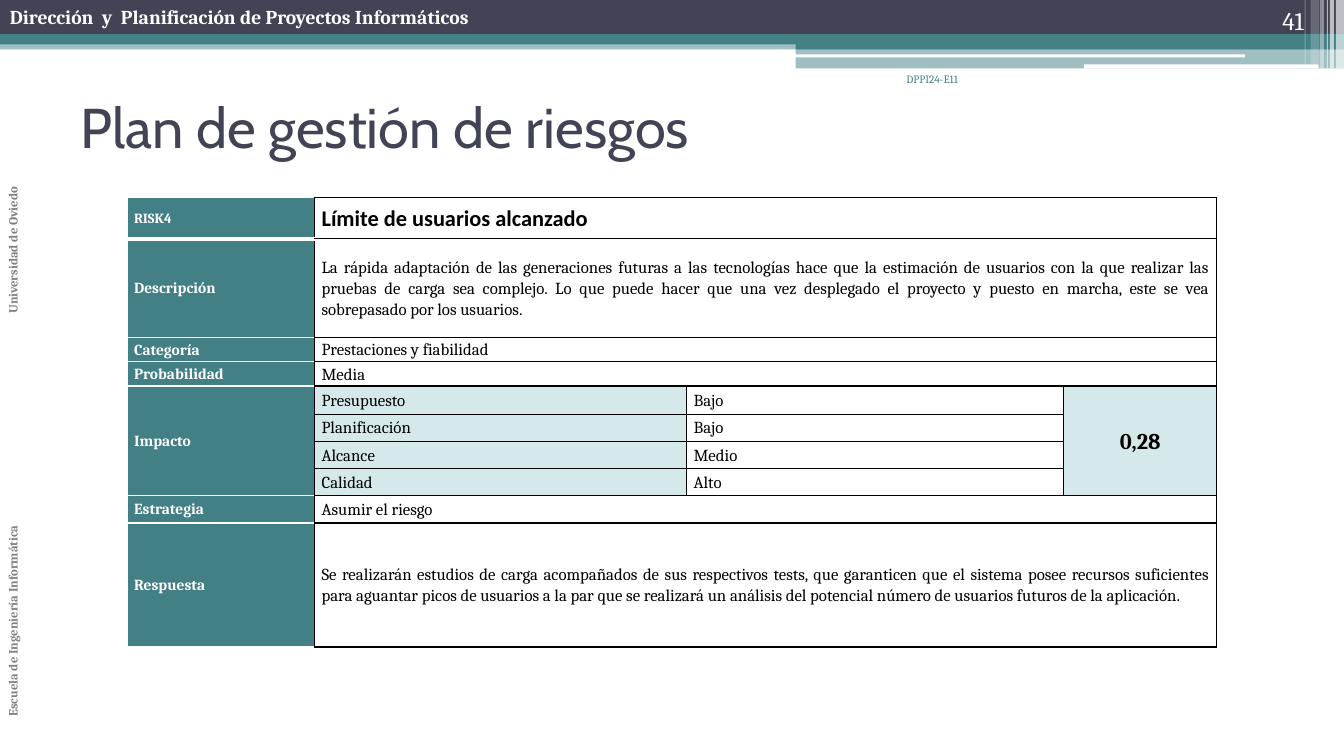
from lxml import etree
from pptx import Presentation
from pptx.dml.color import RGBColor
from pptx.enum.shapes import MSO_SHAPE
from pptx.enum.text import MSO_ANCHOR, PP_ALIGN
from pptx.oxml.ns import qn
from pptx.util import Inches, Pt

RECTANGLE, ROUNDED = MSO_SHAPE.RECTANGLE, MSO_SHAPE.ROUNDED_RECTANGLE
LEFT, CENTER, RIGHT, JUSTIFY = (PP_ALIGN.LEFT, PP_ALIGN.CENTER,
                                PP_ALIGN.RIGHT, PP_ALIGN.JUSTIFY)
TOP, MIDDLE, BOTTOM = MSO_ANCHOR.TOP, MSO_ANCHOR.MIDDLE, MSO_ANCHOR.BOTTOM

NAVY, TEAL, PALE = "424456", "438086", "D6E9EA"
WHITE, BLACK, GRAY = "FFFFFF", "000000", "808080"
SERIF, HEADING, SANS = "Cambria", "Cabin", "Calibri"


def color(value):
    return RGBColor.from_string(value)


def grid(units):
    """Length of a number of grid columns or rows, ten to the inch."""
    return Inches(units / 10)


def write(frame, text, size=12, font=SERIF, ink=BLACK, bold=False, align=LEFT,
          line=None, after=None, tab=None):
    paragraph = frame.paragraphs[0]
    if tab:
        stops = etree.SubElement(paragraph._p.get_or_add_pPr(), qn("a:tabLst"))
        etree.SubElement(stops, qn("a:tab"), pos=str(grid(tab)), algn="l")
    paragraph.alignment = align
    paragraph.line_spacing = line
    paragraph.space_after = after
    run = paragraph.add_run()
    run.text = text
    run.font.size = Pt(size)
    run.font.name = font
    run.font.bold = bold
    run.font.color.rgb = color(ink)


class SlideBuilder:
    def __init__(self, presentation):
        self.slide = presentation.slides.add_slide(presentation.slide_layouts[6])

    def bar(self, left, top, width, height, fill, opacity=100, kind=RECTANGLE):
        shape = self.slide.shapes.add_shape(kind, *map(grid, (left, top, width, height)))
        shape.shadow.inherit = False
        shape.line.fill.background()
        shape.fill.solid()
        shape.fill.fore_color.rgb = color(fill)
        if opacity < 100:
            solid = shape._element.spPr.find(qn("a:solidFill"))
            etree.SubElement(solid[0], qn("a:alpha"), val=str(opacity * 1000))

    def label(self, left, top, width, height, text, anchor=TOP, upward=False, **style):
        shape = self.slide.shapes.add_textbox(*map(grid, (left, top, width, height)))
        frame = shape.text_frame
        frame.word_wrap = True
        frame.vertical_anchor = anchor
        if upward:
            frame._txBody.bodyPr.set("vert", "vert270")
        write(frame, text, **style)

    def table(self, left, top, columns, rows):
        frame = self.slide.shapes.add_table(
            len(rows), len(columns), grid(left), grid(top),
            grid(sum(columns)), grid(sum(rows)))
        table = frame.table
        table.first_row = table.horz_banding = False
        for column, width in zip(table.columns, columns):
            column.width = grid(width)
        for row, height in zip(table.rows, rows):
            row.height = grid(height)
        return table

    def frame_cell(self, cell, fill, edges):
        """Give a cell its margins, fill and borders (left, right, top, bottom)."""
        cell.margin_left = cell.margin_right = grid(0.7)
        cell.margin_top = cell.margin_bottom = 0
        cell.vertical_anchor = MIDDLE
        properties = cell._tc.get_or_add_tcPr()
        for side, (ink, width) in zip("LRTB", edges):
            line = etree.SubElement(properties, qn(f"a:ln{side}"), w=str(Pt(width)))
            solid = etree.SubElement(line, qn("a:solidFill"))
            etree.SubElement(solid, qn("a:srgbClr"), val=ink)
        cell.fill.solid()
        cell.fill.fore_color.rgb = color(fill)


# Header bars: left, top, width, height, fill, opacity
HEADER_BARS = [
    (0, 4, 133.33, 0.9, TEAL, 50),
    (0, 0, 133.33, 3.4, NAVY, 100),
    (0, 3.4, 133.33, 1, TEAL, 100),
    (78.9, 3.9, 54.43, 1, TEAL, 100),
    (78.9, 4.8, 54.43, 2, TEAL, 50),
]
HEADER_SLOTS = [(78.8, 5.4, 44.7, 0.3), (107.5, 6.4, 23.3, 0.4)]
# Stripes in the corner: left, width, height, opacity
CORNER_STRIPES = [
    (132.5, 0.8, 6.8, 65), (131.9, 0.4, 6.8, 65), (131.6, 0.1, 6.8, 60),
    (130.9, 0.4, 6.8, 40), (130, 0.8, 6.4, 20), (129.4, 0.1, 6.4, 30),
]

# Risk sheet: row heading and full-width text, None where the row is divided
RISK_ROWS = [
    ("RISK4", "Límite de usuarios alcanzado"),
    ("Descripción", "La rápida adaptación de las generaciones futuras a las "
     "tecnologías hace que la estimación de usuarios con la que realizar las "
     "pruebas de carga sea complejo. Lo que puede hacer que una vez desplegado "
     "el proyecto y puesto en marcha, este se vea sobrepasado por los usuarios."),
    ("Categoría", "Prestaciones y fiabilidad"),
    ("Probabilidad", "Media"),
    ("Impacto", None),
    (None, None),
    (None, None),
    (None, None),
    ("Estrategia", "Asumir el riesgo"),
    ("Respuesta", "Se realizarán estudios de carga acompañados de sus respectivos "
     "tests, que garanticen que el sistema posee recursos suficientes para aguantar "
     "picos de usuarios a la par que se realizará un análisis del potencial número "
     "de usuarios futuros de la aplicación."),
]
IMPACTS = [("Presupuesto", "Bajo"), ("Planificación", "Bajo"),
           ("Alcance", "Medio"), ("Calidad", "Alto")]
IMPACT_ROW = 4
IMPACT_END = IMPACT_ROW + len(IMPACTS) - 1
JUSTIFIED_ROWS = (0, 1, 9)


def add_header(builder):
    for bar in HEADER_BARS:
        builder.bar(*bar)
    for slot in HEADER_SLOTS:
        builder.bar(*slot, WHITE, kind=ROUNDED)
    for left, width, height, opacity in CORNER_STRIPES:
        builder.bar(left, 0, width, height, WHITE, opacity)


def add_labels(builder):
    builder.label(0, 0, 82.4, 3.4, "Dirección  y  Planificación de Proyectos Informáticos",
                  size=14, ink=WHITE, bold=True)
    builder.label(0, 5.4, 3.5, 66.7,
                  "Escuela de Ingeniería Informática\tUniversidad de Oviedo",
                  upward=True, size=9, ink=GRAY, bold=True, tab=40)
    builder.label(76.7, 6.7, 19.3, 5, "DPPI24-E11", size=8, ink=TEAL, align=RIGHT)
    builder.label(119.2, 0, 11.1, 4, "41", anchor=BOTTOM, size=18, ink=WHITE, align=RIGHT)
    builder.label(7, 6.7, 120, 11.7, "Plan de gestión de riesgos", anchor=MIDDLE,
                  size=40, font=HEADING, ink=NAVY)


def add_risk_table(builder):
    table = builder.table(12.6, 19.6, [18.6, 36.9, 37.4, 15.2],
                          [4.1, 9.8, 2.4, 2.4, 2.8, 2.7, 2.7, 2.7, 2.7, 12.3])
    spacing = dict(line=1.07, after=Pt(8))

    # Fills and borders
    black, white = (BLACK, 1), (WHITE, 1)
    for row in range(len(RISK_ROWS)):
        divided = IMPACT_ROW <= row <= IMPACT_END
        for column in range(4):
            fill = PALE if divided and column in (1, 3) else WHITE
            edges = [black] * 4
            if column == 0:
                fill = TEAL
                edges = [white, black, white, white if row else (WHITE, 3)]
            builder.frame_cell(table.cell(row, column), fill, edges)

    # Headings and full-width texts
    for row, (heading, text) in enumerate(RISK_ROWS):
        if heading:
            write(table.cell(row, 0).text_frame, heading, size=11 if row else 10,
                  ink=WHITE, bold=True, **spacing)
        if text:
            table.cell(row, 1).merge(table.cell(row, 3))
            title = {} if row else dict(size=16, font=SANS, bold=True)
            align = JUSTIFY if row in JUSTIFIED_ROWS else LEFT
            write(table.cell(row, 1).text_frame, text, align=align, **title, **spacing)

    # Impact block
    for row, pair in enumerate(IMPACTS, IMPACT_ROW):
        for column, text in enumerate(pair, 1):
            write(table.cell(row, column).text_frame, text, **spacing)
    for column in (0, 3):
        table.cell(IMPACT_ROW, column).merge(table.cell(IMPACT_END, column))
    write(table.cell(IMPACT_ROW, 3).text_frame, "0,28", size=16, bold=True,
          align=CENTER, **spacing)


def main():
    presentation = Presentation()
    presentation.slide_width, presentation.slide_height = Inches(13.33), Inches(7.5)
    builder = SlideBuilder(presentation)
    add_header(builder)
    add_labels(builder)
    add_risk_table(builder)
    presentation.save("out.pptx")


if __name__ == "__main__":
    main()
